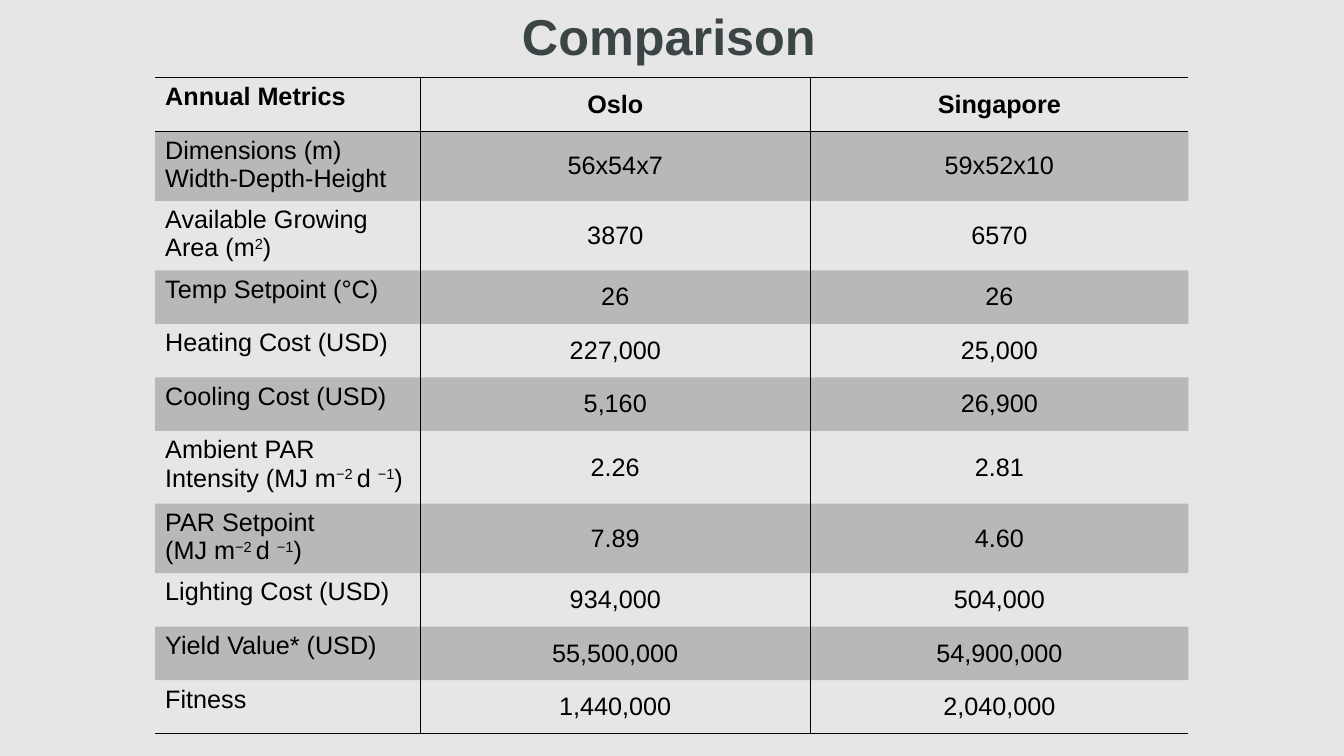
from lxml import etree
from pptx import Presentation
from pptx.dml.color import RGBColor
from pptx.enum.text import MSO_ANCHOR, MSO_AUTO_SIZE, PP_ALIGN
from pptx.oxml.ns import qn
from pptx.util import Cm, Pt

TOP, MIDDLE = MSO_ANCHOR.TOP, MSO_ANCHOR.MIDDLE
LEFT, CENTER = PP_ALIGN.LEFT, PP_ALIGN.CENTER
NO_FIT = MSO_AUTO_SIZE.NONE

HEADING = "Comparison"
SINGLE, DOUBLE, TALL = 1.35, 1.75, 1.83
METRICS = [
    (SINGLE, "Annual Metrics", "Oslo", "Singapore"),
    (DOUBLE, "Dimensions (m)\nWidth-Depth-Height", "56x54x7", "59x52x10"),
    (DOUBLE, "Available Growing Area (m^2^)", "3870", "6570"),
    (SINGLE, "Temp Setpoint (°C)", "26", "26"),
    (SINGLE, "Heating Cost (USD)", "227,000", "25,000"),
    (SINGLE, "Cooling Cost (USD)", "5,160", "26,900"),
    (TALL, "Ambient PAR Intensity (MJ m^−2 ^d ^−1^)", "2.26", "2.81"),
    (DOUBLE, "PAR Setpoint\n(MJ m^−2 ^d ^−1^)", "7.89", "4.60"),
    (SINGLE, "Lighting Cost (USD)", "934,000", "504,000"),
    (SINGLE, "Yield Value* (USD)", "55,500,000", "54,900,000"),
    (SINGLE, "Fitness", "1,440,000", "2,040,000"),
]
COLUMN_WIDTHS = [6.68, 9.83, 9.53]
THEME = {
    "background": "E7E6E6",
    "ink": "000000",
    "band_alpha": "20000",
    "rule": Pt(1),
    "heading": {"name": "Arial", "size": Pt(36), "bold": True, "color": "3B4546"},
    "header": {"name": "Arial", "size": Pt(18), "bold": True, "color": "000000"},
    "body": {"name": "Arial", "size": Pt(18), "bold": False, "color": "000000"},
}


def apply(target, values):
    for key, value in values.items():
        if key == "color":
            target.color.rgb = RGBColor.from_string(value)
        else:
            setattr(target, key, value)


def write(frame, wording, style, alignment):
    for index, line in enumerate(wording.split("\n")):
        paragraph = frame.paragraphs[0] if index == 0 else frame.add_paragraph()
        paragraph.alignment = alignment
        for part, piece in enumerate(line.split("^")):
            run = paragraph.add_run()
            run.text = piece
            apply(run.font, THEME[style])
            if part % 2:
                run.font._element.set("baseline", "30000")


def add_ink(parent):
    solid = etree.SubElement(parent, qn("a:solidFill"))
    return etree.SubElement(solid, qn("a:srgbClr"), val=THEME["ink"])


def format_cell(cell, ruled, banded):
    properties = cell._tc.get_or_add_tcPr()
    for side in ("L", "R", "T", "B"):
        border = etree.SubElement(properties, qn(f"a:ln{side}"), w=str(THEME["rule"]))
        if side in ruled:
            add_ink(border)
        else:
            etree.SubElement(border, qn("a:noFill"))
    if banded:
        etree.SubElement(add_ink(properties), qn("a:alpha"), val=THEME["band_alpha"])
    else:
        cell.fill.background()


def borders(row, column):
    ruled = set()
    if column > 0:
        ruled.add("L")
    if column < len(COLUMN_WIDTHS) - 1:
        ruled.add("R")
    if row <= 1:
        ruled.add("T")
    if row in (0, len(METRICS) - 1):
        ruled.add("B")
    return ruled


def main():
    deck = Presentation()
    apply(deck, {"slide_width": Cm(33.87), "slide_height": Cm(19.05)})
    slide = deck.slides.add_slide(deck.slide_layouts[5])
    slide.background.fill.solid()
    slide.background.fill.fore_color.rgb = RGBColor.from_string(THEME["background"])

    heading = slide.shapes.title
    apply(heading, {"left": Cm(12.9), "top": Cm(0), "width": Cm(8.05), "height": Cm(3.23)})
    apply(heading.text_frame, {"word_wrap": True, "auto_size": NO_FIT, "vertical_anchor": TOP})
    write(heading.text_frame, HEADING, "heading", LEFT)

    comparison = slide.shapes.add_table(
        len(METRICS), len(COLUMN_WIDTHS), Cm(3.91), Cm(1.96),
        Cm(sum(COLUMN_WIDTHS)), Cm(sum(metric[0] for metric in METRICS)),
    ).table
    apply(comparison, {"first_row": False, "horz_banding": False})
    for column, width in enumerate(COLUMN_WIDTHS):
        comparison.columns[column].width = Cm(width)
    for row, (height, *entries) in enumerate(METRICS):
        comparison.rows[row].height = Cm(height)
        for column, entry in enumerate(entries):
            cell = comparison.cell(row, column)
            format_cell(cell, borders(row, column), row % 2 == 1)
            cell.vertical_anchor = MIDDLE if column else TOP
            write(cell.text_frame, entry, "body" if row else "header", CENTER if column else LEFT)

    deck.save("out.pptx")


if __name__ == "__main__":
    main()
